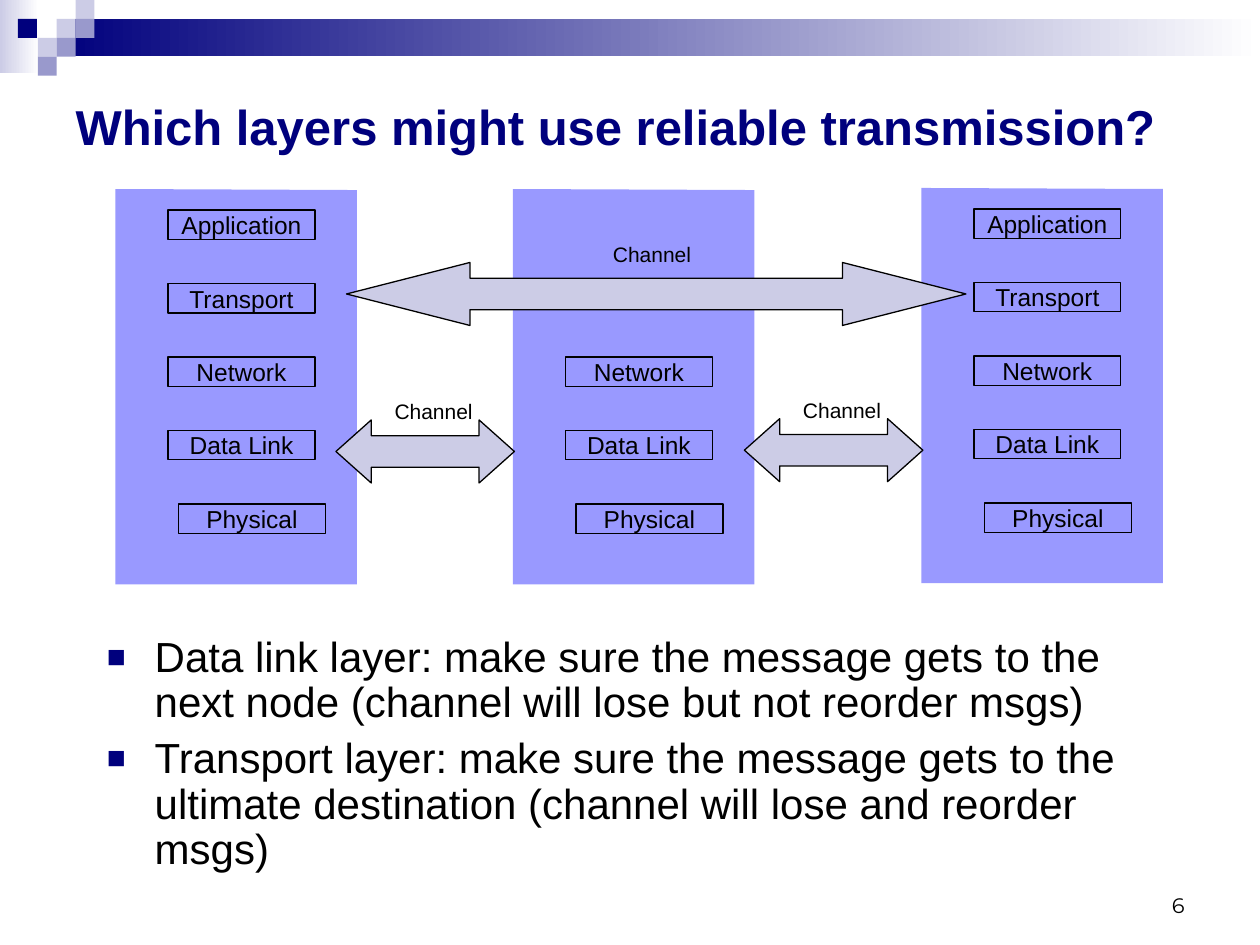
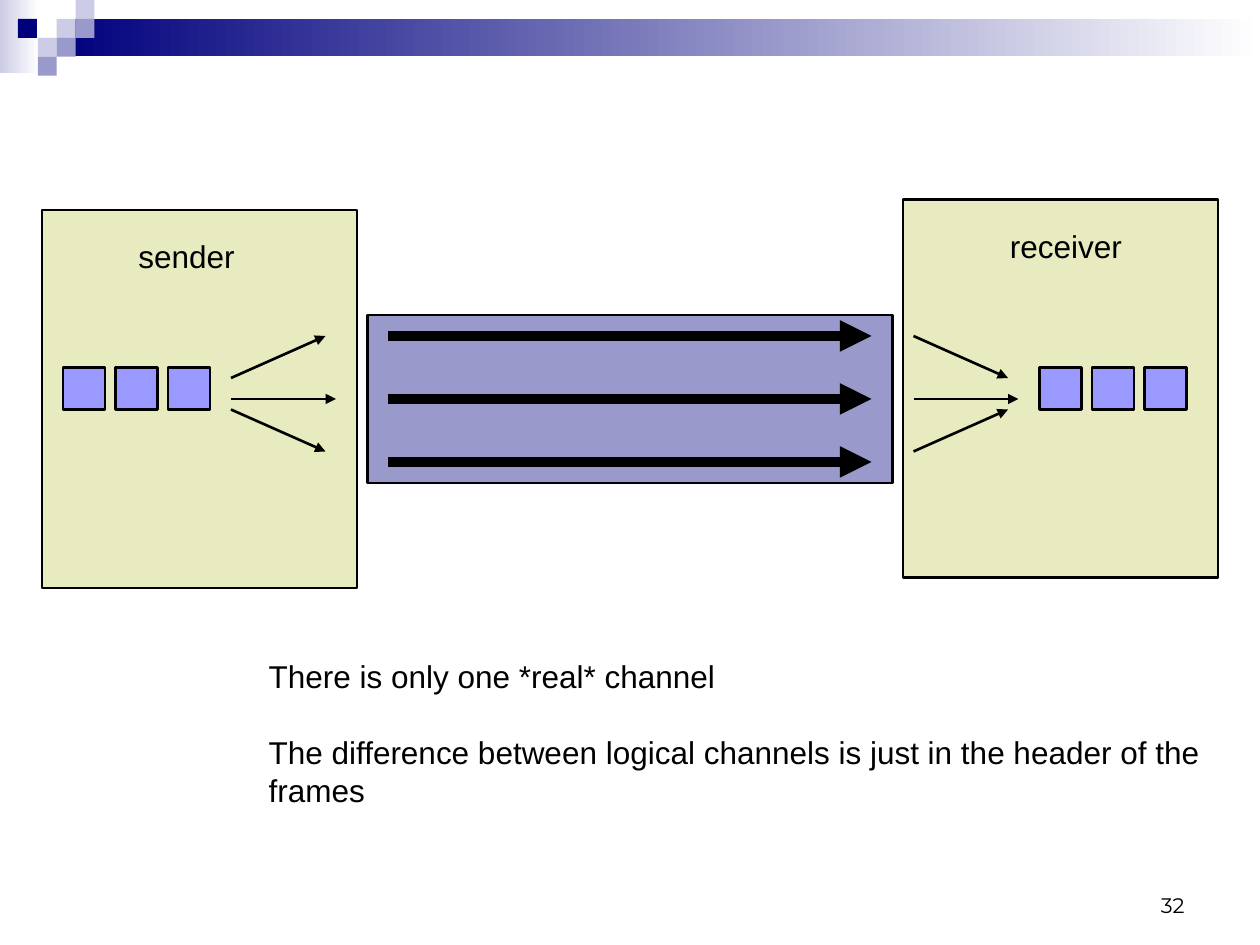
import dataclasses
import typing

import lxml.etree
import pptx
import pptx.dml.color
import pptx.enum.shapes
import pptx.enum.text
import pptx.oxml.ns
import pptx.util

COLUMNS, ROWS = 120, 90
CELL = pptx.util.Inches(1 / 12)
SHAPES = pptx.enum.shapes.MSO_SHAPE
ALIGN = pptx.enum.text.PP_ALIGN
ANCHOR = pptx.enum.text.MSO_ANCHOR


@dataclasses.dataclass(frozen=True)
class Theme:
    font: str = "Arial"
    number_font: str = "Montserrat"
    navy: str = "00007D"
    black: str = "000000"
    white: str = "FFFFFF"
    pale: str = "CCCCE6"
    muted: str = "9999CC"
    violet: str = "9999FF"
    olive: str = "E8EAC0"
    title_size: float = 28
    body_size: float = 24
    note_size: float = 18
    layer_size: float = 14
    small_size: float = 12
    thin: float = 0.75
    medium: float = 1.5
    thick: float = 6


THEME = Theme()


class Box(typing.NamedTuple):
    """A rectangle in grid columns and rows."""
    left: float
    top: float
    width: float
    height: float

    def inside(self, left, top, width, height):
        return Box(self.left + left, self.top + top, width, height)

    def lengths(self):
        return [grid(value) for value in self]


def grid(cells):
    return pptx.util.Emu(round(cells * CELL))


def rgb(color):
    return pptx.dml.color.RGBColor.from_string(color)


def add_run(paragraph, text, size, color=THEME.black, font=THEME.font, bold=False):
    run = paragraph.add_run()
    run.text = text
    run.font.size = pptx.util.Pt(size)
    run.font.name = font
    run.font.bold = bold
    run.font.color.rgb = rgb(color)


def set_margins(frame, horizontal, vertical):
    frame.margin_left = frame.margin_right = pptx.util.Inches(horizontal)
    frame.margin_top = frame.margin_bottom = pptx.util.Inches(vertical)


def add_text_frame(slide, box, wrap=False, margins=(0.1, 0.05)):
    frame = slide.shapes.add_textbox(*box.lengths()).text_frame
    frame.word_wrap = wrap
    set_margins(frame, *margins)
    return frame


def style_shape(shape, fill=None, line_width=None):
    shape.shadow.inherit = False
    if fill:
        shape.fill.solid()
        shape.fill.fore_color.rgb = rgb(fill)
    else:
        shape.fill.background()
    if line_width:
        shape.line.color.rgb = rgb(THEME.black)
        shape.line.width = pptx.util.Pt(line_width)
    else:
        shape.line.fill.background()


def add_preset(slide, box, fill=None, line_width=None, preset=SHAPES.RECTANGLE):
    shape = slide.shapes.add_shape(preset, *box.lengths())
    style_shape(shape, fill, line_width)
    return shape


def add_gradient(slide, box, color):
    shape = add_preset(slide, box)
    shape.fill.gradient()
    shape.fill.gradient_angle = 0
    for stop, stop_color in zip(shape.fill.gradient_stops, (color, THEME.white)):
        stop.color.rgb = rgb(stop_color)


def add_arrow(slide, start, end, width):
    connector = slide.shapes.add_connector(
        pptx.enum.shapes.MSO_CONNECTOR.STRAIGHT,
        *[grid(value) for value in (*start, *end)])
    connector.line.color.rgb = rgb(THEME.black)
    connector.line.width = pptx.util.Pt(width)
    properties = connector.element.spPr
    line = properties.find(pptx.oxml.ns.qn("a:ln"))
    lxml.etree.SubElement(line, pptx.oxml.ns.qn("a:tailEnd"), type="triangle")
    lxml.etree.SubElement(properties, pptx.oxml.ns.qn("a:effectLst"))


def add_header_band(slide):
    add_gradient(slide, Box(0, 0, 3.7, 7), THEME.pale)
    add_gradient(slide, Box(5.4, 1.8, COLUMNS - 5.4, 3.55), THEME.navy)
    tile = 1.8
    tiles = {
        THEME.pale: [(3, 1), (4, 0), (2, 2)],
        THEME.muted: [(4, 1), (3, 2), (2, 3)],
        THEME.navy: [(0.95, 1)],
    }
    for color, places in tiles.items():
        for column, row in places:
            add_preset(slide, Box(column * tile, row * tile, tile, tile), color)


def add_page_number(slide, number):
    frame = add_text_frame(slide, Box(86, 82, 28, 6), wrap=True)
    frame.vertical_anchor = ANCHOR.BOTTOM
    paragraph = frame.paragraphs[0]
    paragraph.alignment = ALIGN.RIGHT
    add_run(paragraph, str(number), THEME.small_size, font=THEME.number_font)


def start_slide(presentation, layout_index, number):
    slide = presentation.slides.add_slide(presentation.slide_layouts[layout_index])
    add_header_band(slide)
    add_page_number(slide, number)
    return slide


def fill_title(slide, box, text):
    title = slide.shapes.title
    title.left, title.top, title.width, title.height = box.lengths()
    frame = title.text_frame
    frame.auto_size = pptx.enum.text.MSO_AUTO_SIZE.NONE
    frame.vertical_anchor = ANCHOR.MIDDLE
    paragraph = frame.paragraphs[0]
    paragraph.alignment = ALIGN.LEFT
    add_run(paragraph, text, THEME.title_size, THEME.navy, bold=True)


def add_square_bullet(paragraph):
    properties = paragraph._p.get_or_add_pPr()
    indent = pptx.util.Inches(0.38)
    properties.set("marL", str(indent))
    properties.set("indent", str(-indent))
    qn = pptx.oxml.ns.qn
    color = lxml.etree.SubElement(properties, qn("a:buClr"))
    lxml.etree.SubElement(color, qn("a:srgbClr"), val=THEME.navy)
    lxml.etree.SubElement(properties, qn("a:buSzPct"), val="75000")
    lxml.etree.SubElement(properties, qn("a:buFont"), typeface=THEME.font)
    lxml.etree.SubElement(properties, qn("a:buChar"), char="■")


def add_bullets(slide, box, texts):
    frame = add_text_frame(slide, box, wrap=True)
    for index, text in enumerate(texts):
        paragraph = frame.add_paragraph() if index else frame.paragraphs[0]
        paragraph.line_spacing = 0.9
        paragraph.space_before = pptx.util.Pt(6)
        add_square_bullet(paragraph)
        add_run(paragraph, text, THEME.body_size)


def add_layer_stack(slide, box, layers):
    """Draws a node with its layers, the last one on the lowest of five rows."""
    right, bottom = box.left + box.width, box.top + box.height
    builder = slide.shapes.build_freeform(grid(box.left), grid(box.top))
    corners = [(right, box.top + 0.1), (right, bottom), (box.left, bottom)]
    builder.add_line_segments([(grid(x), grid(y)) for x, y in corners])
    style_shape(builder.convert_to_shape(), THEME.violet)
    for row, layer in enumerate(layers, start=5 - len(layers)):
        left = 6 if layer == "Physical" else 5
        shape = add_preset(slide, box.inside(left, 2 + 7 * row, 14, 2.8),
                           line_width=THEME.thin)
        frame = shape.text_frame
        set_margins(frame, 0, 0)
        frame.vertical_anchor = ANCHOR.TOP
        paragraph = frame.paragraphs[0]
        paragraph.alignment = ALIGN.CENTER
        add_run(paragraph, layer, THEME.layer_size)


def add_channel(slide, box, head_length, label_left):
    """Draws a two-way arrow with its label just above the shaft."""
    arrow = add_preset(slide, box, THEME.pale, THEME.thin, SHAPES.LEFT_RIGHT_ARROW)
    arrow.adjustments[0] = 0.5
    arrow.adjustments[1] = head_length
    frame = add_text_frame(slide, box.inside(label_left, -2, 8, 2.4),
                           margins=(0, 0))
    paragraph = frame.paragraphs[0]
    paragraph.alignment = ALIGN.CENTER
    add_run(paragraph, "Channel", THEME.small_size)


def add_endpoint(slide, box, label, label_box):
    add_preset(slide, box, THEME.olive, THEME.medium)
    frame = add_text_frame(slide, box.inside(*label_box))
    add_run(frame.paragraphs[0], label, THEME.note_size)


def add_frames(slide, left, top):
    for index in range(3):
        add_preset(slide, Box(left + 5 * index, top, 4, 4), THEME.violet, THEME.medium)


def add_fan(slide, box, spreading):
    """Draws three arrows that spread out from, or close in on, one side."""
    near, far = (4, 6, 7), (0, 6, box.height)
    starts, ends = (near, far) if spreading else (far, near)
    lengths = (box.width - 1, box.width, box.width - 1)
    for start, end, length in zip(starts, ends, lengths):
        add_arrow(slide, (box.left, box.top + start),
                  (box.left + length, box.top + end), THEME.medium)


def add_logical_channels(slide, box):
    add_preset(slide, box, THEME.muted, THEME.medium)
    for row in (2, 8, 14):
        add_arrow(slide, (box.left + 2, box.top + row),
                  (box.left + box.width - 2, box.top + row), THEME.thick)


def add_remarks(slide, box, remarks):
    frame = add_text_frame(slide, box)
    for index, lines in enumerate(remarks):
        paragraph = frame.add_paragraph() if index else frame.paragraphs[0]
        if index:
            paragraph.space_before = pptx.util.Pt(21.7)
        for line_index, line in enumerate(lines):
            if line_index:
                paragraph.add_line_break()
            add_run(paragraph, line, THEME.note_size)


def build_layers_slide(presentation):
    slide = start_slide(presentation, 5, 6)
    fill_title(slide, Box(6, 6, 108, 12), "Which layers might use reliable transmission?")
    layers = ["Application", "Transport", "Network", "Data Link", "Physical"]
    add_layer_stack(slide, Box(11, 18, 23, 37.65), layers)
    add_layer_stack(slide, Box(48.85, 18, 23, 37.65), layers[2:])
    add_layer_stack(slide, Box(87.75, 17.9, 23, 37.65), layers)
    add_channel(slide, Box(32, 40, 17, 6), 0.56, 5.3)
    add_channel(slide, Box(70.9, 39.88, 17, 6), 0.56, 5.3)
    add_channel(slide, Box(33, 25, 59, 6), 1.96, 25.1)
    add_bullets(slide, Box(9, 60, 102, 25), [
        "Data link layer: make sure the message gets to the next node "
        "(channel will lose but not reorder msgs)",
        "Transport layer: make sure the message gets to the ultimate destination "
        "(channel will lose and reorder msgs)",
    ])


def build_channels_slide(presentation):
    slide = start_slide(presentation, 6, 32)
    add_endpoint(slide, Box(4, 20, 30, 36), "sender", (8, 2, 12, 4.8))
    add_endpoint(slide, Box(86, 19, 30, 36), "receiver", (9, 2, 13.5, 4.8))
    add_logical_channels(slide, Box(35, 30, 50, 16))
    add_frames(slide, 6, 35)
    add_frames(slide, 99, 35)
    add_fan(slide, Box(22, 32, 10, 11), spreading=True)
    add_fan(slide, Box(87, 32, 10, 11), spreading=False)
    add_remarks(slide, Box(24.4, 62, 92.5, 15.6), [
        ["There is only one *real* channel"],
        ["The difference between logical channels is just in the header of the", "frames"],
    ])


def main():
    presentation = pptx.Presentation()
    presentation.slide_width = grid(COLUMNS)
    presentation.slide_height = grid(ROWS)
    build_layers_slide(presentation)
    build_channels_slide(presentation)
    presentation.save("out.pptx")


if __name__ == "__main__":
    main()
